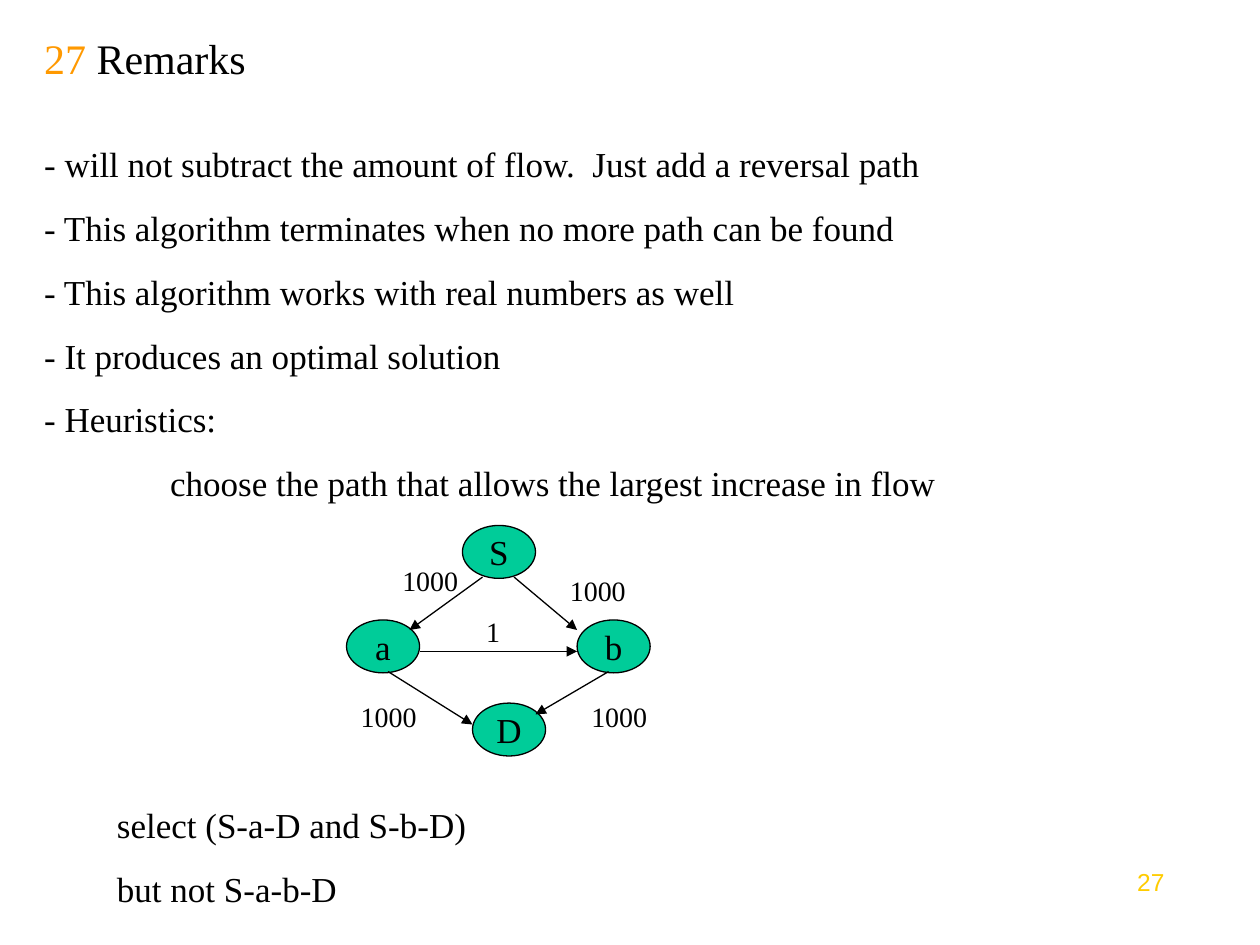
from dataclasses import dataclass

from lxml.etree import SubElement
from pptx import Presentation
from pptx.dml.color import RGBColor
from pptx.enum.shapes import MSO_CONNECTOR as Connector, MSO_SHAPE as Shape
from pptx.enum.text import MSO_ANCHOR as Anchor, MSO_AUTO_SIZE as AutoSize, PP_ALIGN as Align
from pptx.oxml.ns import qn
from pptx.util import Inches, Pt

SERIF = "Times New Roman"
BLACK = "000000"
NODE_WIDTH, NODE_HEIGHT = 0.58, 0.42


@dataclass
class Node:
    name: str
    left: float
    top: float


@dataclass
class Edge:
    start: tuple[float, float]
    end: tuple[float, float]


@dataclass
class Label:
    text: str
    left: float
    top: float
    width: float = 0.83


REMARKS = [
    "- will not subtract the amount of flow.  Just add a reversal path",
    "- This algorithm terminates when no more path can be found",
    "- This algorithm works with real numbers as well",
    "- It produces an optimal solution",
    "- Heuristics:",
    "choose the path that allows the largest increase in flow",
]
CHOICES = ["select (S-a-D and S-b-D)", "but not S-a-b-D"]
NODES = [
    Node("a", 2.75, 4.92),
    Node("S", 3.67, 4.17),
    Node("D", 3.75, 5.58),
    Node("b", 4.58, 4.92),
]
EDGES = [
    Edge((3.83, 4.58), (3.25, 5)),
    Edge((4.08, 4.58), (4.58, 5)),
    Edge((3.33, 5.17), (4.58, 5.17)),
    Edge((3.08, 5.33), (3.75, 5.75)),
    Edge((4.83, 5.33), (4.25, 5.67)),
]
LABELS = [
    Label("1", 3.75, 4.83, 0.33),
    Label("1000", 3, 4.42),
    Label("1000", 4.33, 4.5),
    Label("1000", 2.67, 5.5),
    Label("1000", 4.5, 5.5),
]


def color(value: str) -> RGBColor:
    return RGBColor.from_string(value)


def style(para, size: float, font: str = SERIF, fill: str = BLACK,
          align=Align.LEFT, before: float = 0) -> None:
    para.alignment = align
    para.space_before = Pt(before)
    para.font.size = Pt(size)
    para.font.name = font
    para.font.color.rgb = color(fill)


def place(shape, left: float, top: float, width: float, height: float) -> None:
    shape.left, shape.top = Inches(left), Inches(top)
    shape.width, shape.height = Inches(width), Inches(height)


def add_text(page, text: str, left: float, top: float, width: float, height: float):
    box = page.shapes.add_textbox(Inches(left), Inches(top), Inches(width), Inches(height))
    box.text_frame.word_wrap = True
    box.text_frame.text = text
    return box.text_frame


def write_title(page) -> None:
    title = page.shapes.title
    place(title, 0.25, 0.25, 8.5, 0.42)
    frame = title.text_frame
    frame.auto_size = AutoSize.NONE
    frame.vertical_anchor = Anchor.MIDDLE
    para = frame.paragraphs[0]
    style(para, 24)
    number = para.add_run()
    number.text = "27"
    number.font.color.rgb = color("FF9900")
    para.add_run().text = " Remarks"


def write_remarks(page) -> None:
    body = page.placeholders[1]
    place(body, 0.25, 1.08, 8.58, 2.97)
    frame = body.text_frame
    frame.text = "\n".join(REMARKS)
    frame.auto_size = AutoSize.NONE
    for para in frame.paragraphs:
        properties = para._p.get_or_add_pPr()
        indent = 1 if para.text == REMARKS[-1] else 0
        properties.set("marL", str(Inches(indent)))
        properties.set("indent", "0")
        SubElement(properties, qn("a:buNone"))
        style(para, 20, before=12.5)


def draw_node(page, node: Node) -> None:
    oval = page.shapes.add_shape(Shape.OVAL, Inches(node.left), Inches(node.top),
                                 Inches(NODE_WIDTH), Inches(NODE_HEIGHT))
    oval.shadow.inherit = False
    oval.fill.solid()
    oval.fill.fore_color.rgb = color("00CC99")
    oval.line.color.rgb = color(BLACK)
    oval.line.width = Pt(0.75)
    frame = oval.text_frame
    frame.word_wrap = False
    frame.vertical_anchor = Anchor.MIDDLE
    frame.text = node.name
    style(frame.paragraphs[0], 20, align=Align.CENTER)


def draw_edge(page, edge: Edge) -> None:
    arrow = page.shapes.add_connector(Connector.STRAIGHT, *map(Inches, edge.start + edge.end))
    arrow.line.color.rgb = color(BLACK)
    arrow.line.width = Pt(0.75)
    SubElement(arrow.line._get_or_add_ln(), qn("a:tailEnd"), type="triangle")
    SubElement(arrow._element.spPr, qn("a:effectLst"))


def draw_label(page, label: Label) -> None:
    frame = add_text(page, label.text, label.left, label.top, label.width, 0.37)
    style(frame.paragraphs[0], 16, align=Align.CENTER, before=10)


def main() -> None:
    deck = Presentation()
    deck.slide_width, deck.slide_height = Inches(10), Inches(7.5)
    page = deck.slides.add_slide(deck.slide_layouts[1])

    write_title(page)
    write_remarks(page)
    for node in NODES:
        draw_node(page, node)
    for edge in EDGES:
        draw_edge(page, edge)
    for label in LABELS:
        draw_label(page, label)

    for para in add_text(page, "\n".join(CHOICES), 0.83, 6.33, 8, 0.94).paragraphs:
        style(para, 20, before=12.5)
    number = add_text(page, "27", 8.67, 6.83, 0.67, 0.52)
    style(number.paragraphs[0], 14, "Arial", "FFCC00", Align.RIGHT)

    deck.save("out.pptx")


if __name__ == "__main__":
    main()
